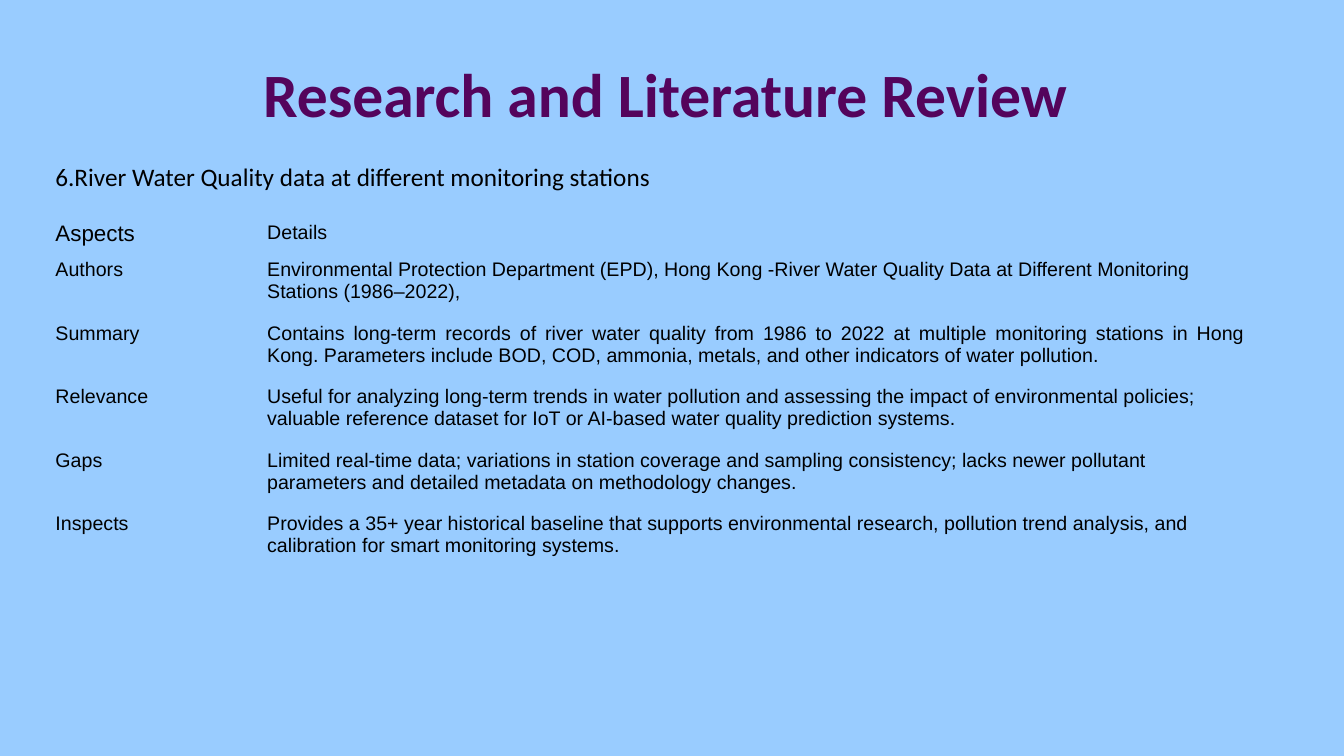
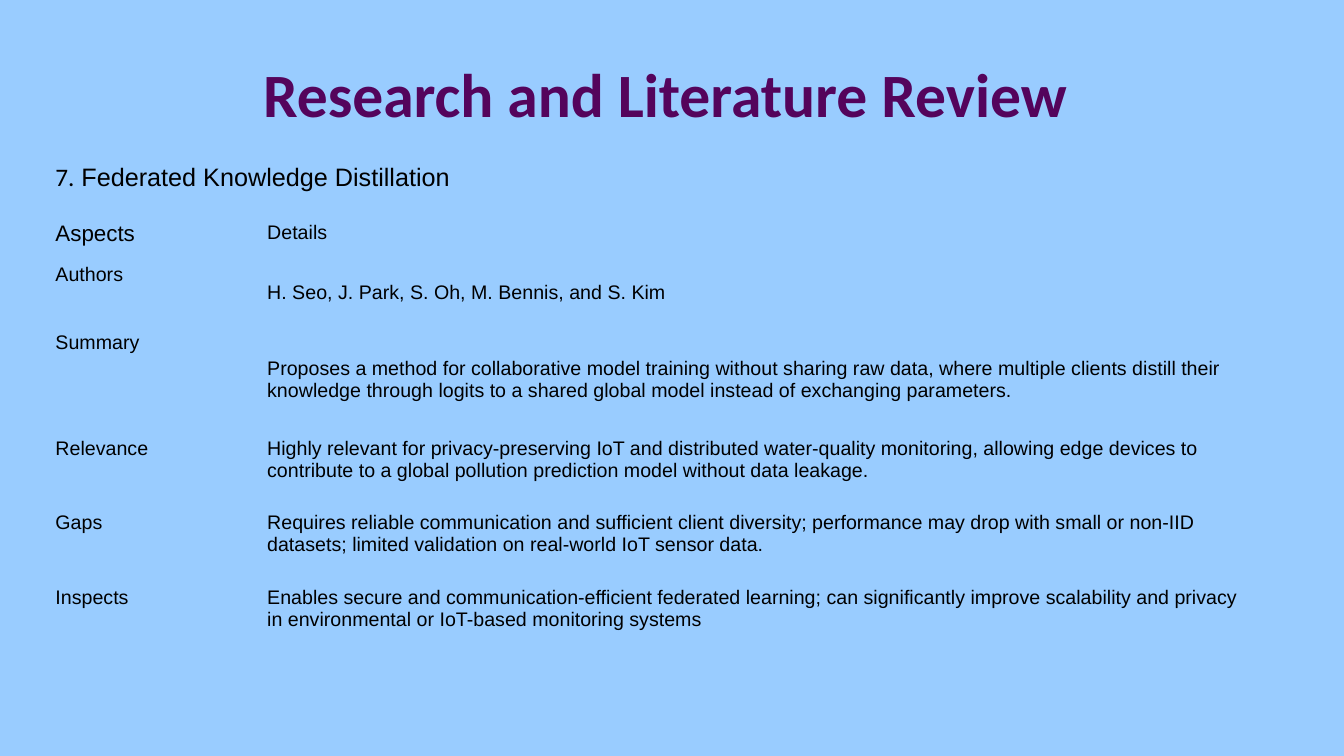
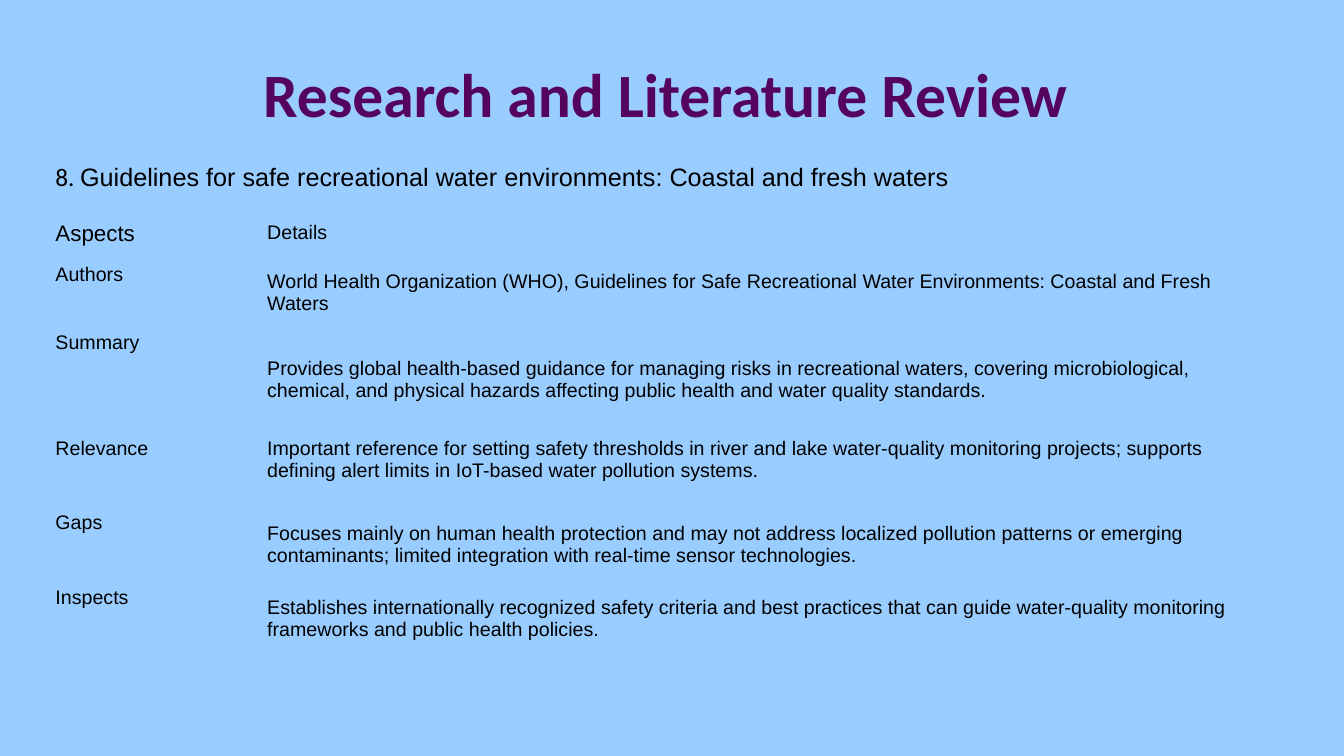
from pptx import Presentation
from pptx.dml.color import RGBColor as RGB
from pptx.enum.text import MSO_ANCHOR as ANCHOR, PP_ALIGN as ALIGN
from pptx.oxml.ns import qn
from pptx.util import Inches, Pt

# Shared look
COLORS = {"background": "99CCFF", "title": "54045C", "text": "000000"}
HEAD_FONT, BODY_FONT = "Calibri", "Arial"
TITLE = "Research and Literature Review "
NO_STYLE_NO_GRID = "{2D5ABB26-0587-4C30-8999-92F81FD0307C}"
ASPECTS = ["Authors", "Summary", "Relevance", "Gaps", "Inspects"]
LEFT, TABLE_TOP = 0.45, 2.15
COLUMNS = [2.1, 9.9]
COMPACT_ROWS = [0.34] + [0.63] * 5
LOOSE_ROWS = [0.42, 0.67, 1.05] + [0.74] * 3

# One entry per reviewed source; heading is (text, font) runs
REVIEWS = [
    {
        "heading": [("6.River Water Quality data at different monitoring stations", HEAD_FONT)],
        "heading_width": 7.02,
        "rows": COMPACT_ROWS,
        "middle": [],
        "justified": ["Summary"],
        "details": [
            "Environmental Protection Department (EPD), Hong Kong -River Water Quality Data at "
            "Different Monitoring Stations (1986–2022),",
            "Contains long-term records of river water quality from 1986 to 2022 at multiple "
            "monitoring stations in Hong Kong. Parameters include BOD, COD, ammonia, metals, "
            "and other indicators of water pollution.",
            "Useful for analyzing long-term trends in water pollution and assessing the impact "
            "of environmental policies; valuable reference dataset for IoT or AI-based water "
            "quality prediction systems.",
            "Limited real-time data; variations in station coverage and sampling consistency; "
            "lacks newer pollutant parameters and detailed metadata on methodology changes.",
            "Provides a 35+ year historical baseline that supports environmental research, "
            "pollution trend analysis, and calibration for smart monitoring systems.",
        ],
    },
    {
        "heading": [("7.", HEAD_FONT), (" Federated Knowledge Distillation", BODY_FONT)],
        "heading_width": 7.02,
        "rows": LOOSE_ROWS,
        "middle": ["Authors", "Summary"],
        "justified": [],
        "details": [
            "H. Seo, J. Park, S. Oh, M. Bennis, and S. Kim",
            "Proposes a method for collaborative model training without sharing raw data, where "
            "multiple clients distill their knowledge through logits to a shared global model "
            "instead of exchanging parameters.",
            "Highly relevant for privacy-preserving IoT and distributed water-quality "
            "monitoring, allowing edge devices to contribute to a global pollution prediction "
            "model without data leakage.",
            "Requires reliable communication and sufficient client diversity; performance may "
            "drop with small or non-IID datasets; limited validation on real-world IoT sensor "
            "data.",
            "Enables secure and communication-efficient federated learning; can significantly "
            "improve scalability and privacy in environmental or IoT-based monitoring systems",
        ],
    },
    {
        "heading": [
            ("8. ", HEAD_FONT),
            ("Guidelines for safe recreational water environments: Coastal and fresh waters",
             BODY_FONT),
        ],
        "heading_width": 9.26,
        "rows": LOOSE_ROWS,
        "middle": ["Authors", "Summary", "Gaps", "Inspects"],
        "justified": [],
        "details": [
            "World Health Organization (WHO), Guidelines for Safe Recreational Water "
            "Environments: Coastal and Fresh Waters",
            "Provides global health-based guidance for managing risks in recreational waters, "
            "covering microbiological, chemical, and physical hazards affecting public health "
            "and water quality standards.",
            "Important reference for setting safety thresholds in river and lake water-quality "
            "monitoring projects; supports defining alert limits in IoT-based water pollution "
            "systems.",
            "Focuses mainly on human health protection and may not address localized pollution "
            "patterns or emerging contaminants; limited integration with real-time sensor "
            "technologies.",
            "Establishes internationally recognized safety criteria and best practices that can "
            "guide water-quality monitoring frameworks and public health policies.",
        ],
    },
]


def set_font(font, name, size, color="text", bold=False):
    font.name, font.size, font.bold = name, Pt(size), bold
    font.color.rgb = RGB.from_string(COLORS[color])


def add_title(slide):
    sp = slide.shapes.title
    sp.left, sp.top, sp.width, sp.height = map(Inches, (0.67, 0.3, 12, 1.25))
    tf = sp.text_frame
    tf.text, tf.vertical_anchor = TITLE, ANCHOR.MIDDLE
    p = tf.paragraphs[0]
    p.alignment = ALIGN.CENTER
    set_font(p.font, HEAD_FONT, 44, "title", bold=True)


def add_heading(slide, runs, width):
    sp = slide.shapes.add_textbox(*map(Inches, (LEFT, 1.55, width, 0.4)))
    sp.text_frame.word_wrap = True
    p = sp.text_frame.paragraphs[0]
    for text, font_name in runs:
        r = p.add_run()
        r.text = text
        set_font(r.font, font_name, 18)


def fill_cell(cell, text, size=14, anchor=ANCHOR.TOP, align=ALIGN.LEFT):
    cell.fill.background()
    cell.text, cell.vertical_anchor = text, anchor
    p = cell.text_frame.paragraphs[0]
    p.alignment = align
    set_font(p.font, BODY_FONT, size)


def add_review_table(slide, review):
    heights = review["rows"]
    frame = slide.shapes.add_table(
        len(heights), len(COLUMNS),
        *map(Inches, (LEFT, TABLE_TOP, sum(COLUMNS), sum(heights))))
    frame.element.find(".//" + qn("a:tableStyleId")).text = NO_STYLE_NO_GRID
    table = frame.table
    table.first_row = table.horz_banding = False
    for column, width in zip(table.columns, COLUMNS):
        column.width = Inches(width)
    for row, height in zip(table.rows, heights):
        row.height = Inches(height)

    # Header, then one row per aspect
    fill_cell(table.cell(0, 0), "Aspects", size=16)
    fill_cell(table.cell(0, 1), "Details")
    for i, (aspect, detail) in enumerate(zip(ASPECTS, review["details"]), start=1):
        fill_cell(table.cell(i, 0), aspect)
        fill_cell(
            table.cell(i, 1), detail,
            anchor=ANCHOR.MIDDLE if aspect in review["middle"] else ANCHOR.TOP,
            align=ALIGN.JUSTIFY if aspect in review["justified"] else ALIGN.LEFT)


def main():
    prs = Presentation()
    prs.slide_width, prs.slide_height = Inches(13.33), Inches(7.5)
    background = prs.slide_master.background.fill
    background.solid()
    background.fore_color.rgb = RGB.from_string(COLORS["background"])
    title_only = prs.slide_layouts.get_by_name("Title Only")

    for review in REVIEWS:
        slide = prs.slides.add_slide(title_only)
        add_title(slide)
        add_heading(slide, review["heading"], review["heading_width"])
        add_review_table(slide, review)
    prs.save("out.pptx")


if __name__ == "__main__":
    main()
